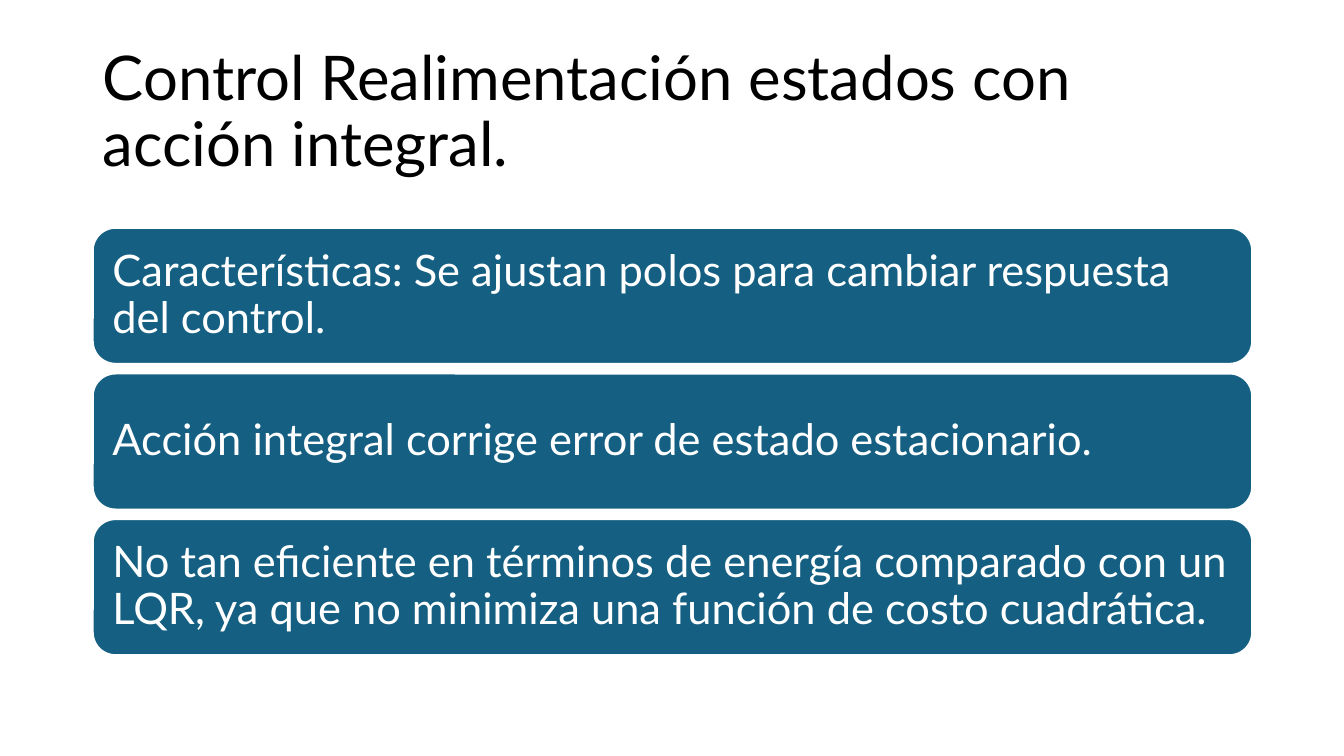
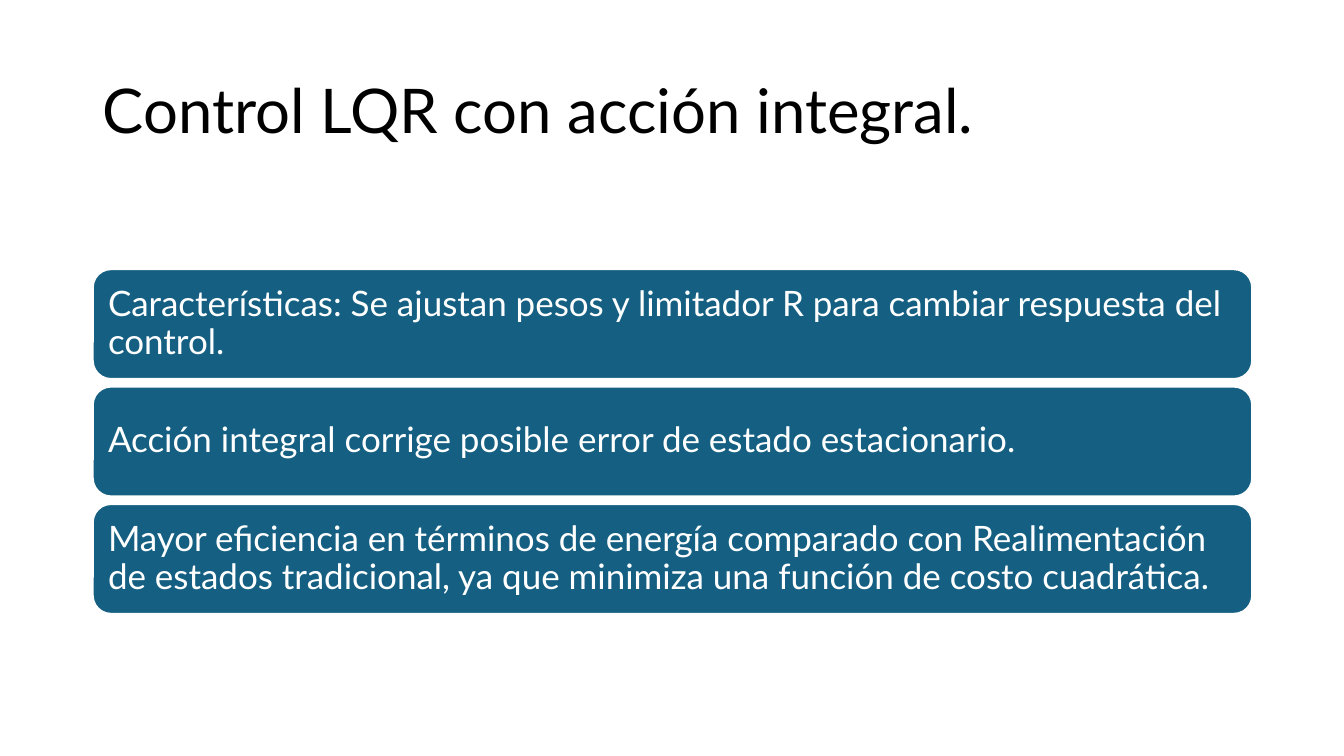
import pptx
import pptx.dml.color
import pptx.enum.shapes
import pptx.enum.text
import pptx.util

Inches = pptx.util.Inches
Pt = pptx.util.Pt
RGBColor = pptx.dml.color.RGBColor

FONT = "Lato"
BLACK = RGBColor(0x00, 0x00, 0x00)
WHITE = RGBColor(0xFF, 0xFF, 0xFF)
TEAL = RGBColor(0x15, 0x60, 0x82)

LEFT, WIDTH = 0.92, 11.5
TITLE_BOX = (LEFT, 0.4, WIDTH, 1.45)

SLIDES = [
    {
        "title": "Control Realimentación estados con acción integral.",
        "box": (LEFT, 2.26, WIDTH, 4.24),
        "card_height": 1.35,
        "size": 31,
        "inset": 0.13,
        "cards": [
            "Características: Se ajustan polos para cambiar respuesta del control.",
            "Acción integral corrige error de estado estacionario.",
            "No tan eficiente en términos de energía comparado con un LQR, "
            "ya que no minimiza una función de costo cuadrática.",
        ],
    },
    {
        "title": "Control LQR con acción integral.",
        "box": (LEFT, 2.67, WIDTH, 3.42),
        "card_height": 1.09,
        "size": 25,
        "inset": 0.1,
        "cards": [
            "Características: Se ajustan pesos y limitador R para cambiar "
            "respuesta del control.",
            "Acción integral corrige posible error de estado estacionario.",
            "Mayor eficiencia en términos de energía comparado con "
            "Realimentación de estados tradicional, ya que minimiza una "
            "función de costo cuadrática.",
        ],
    },
]


def write_text(sp, text, size, color):
    """Fill a shape with one left-aligned, vertically centred paragraph."""
    tf = sp.text_frame
    tf.word_wrap = True
    tf.vertical_anchor = pptx.enum.text.MSO_ANCHOR.MIDDLE
    p = tf.paragraphs[0]
    p.text = text
    p.alignment = pptx.enum.text.PP_ALIGN.LEFT
    p.line_spacing = 0.9
    p.font.name = FONT
    p.font.size = Pt(size)
    p.font.color.rgb = color


def add_title(s, box, text):
    """Place the slide title in the given box."""
    sp = s.shapes.add_textbox(*map(Inches, box))
    write_text(sp, text, 44, BLACK)


def add_card(s, box, text, size, inset):
    """Place one rounded card with its text in the given box."""
    sp = s.shapes.add_shape(
        pptx.enum.shapes.MSO_SHAPE.ROUNDED_RECTANGLE, *map(Inches, box))
    sp.shadow.inherit = False
    sp.fill.solid()
    sp.fill.fore_color.rgb = TEAL
    sp.line.color.rgb = WHITE
    sp.line.width = Pt(1.5)
    tf = sp.text_frame
    tf.margin_left = tf.margin_right = Inches(inset)
    tf.margin_top = tf.margin_bottom = Inches(inset)
    write_text(sp, text, size, WHITE)


def add_card_stack(s, box, cards, card_height, size, inset):
    """Spread cards evenly from the top to the bottom of the given box."""
    left, top, width, height = box
    pitch = (height - card_height) / (len(cards) - 1)
    for i, text in enumerate(cards):
        card_box = (left, top + i * pitch, width, card_height)
        add_card(s, card_box, text, size, inset)


def add_card_slide(prs, title, **stack):
    """Add a slide with a title above a stack of cards."""
    s = prs.slides.add_slide(prs.slide_layouts[6])
    add_title(s, TITLE_BOX, title)
    add_card_stack(s, **stack)


def main():
    """Build and save the presentation."""
    prs = pptx.Presentation()
    prs.slide_width = Inches(13.33)
    prs.slide_height = Inches(7.5)
    for content in SLIDES:
        add_card_slide(prs, **content)
    prs.save("out.pptx")


if __name__ == "__main__":
    main()
